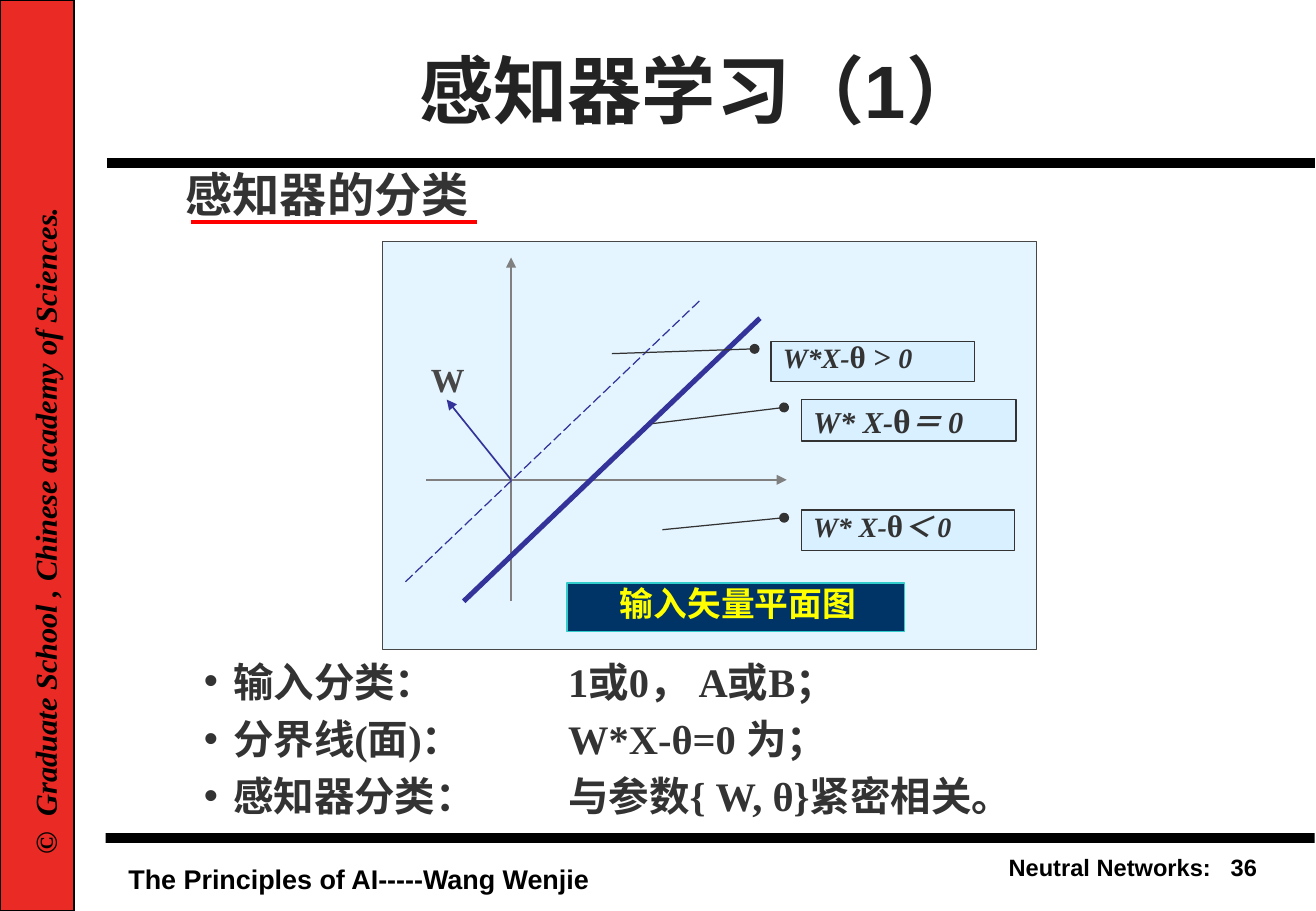
from dataclasses import dataclass, field
from typing import Any

from lxml.etree import SubElement
from pptx import Presentation
from pptx.dml.color import RGBColor
from pptx.enum.dml import MSO_LINE_DASH_STYLE as Dash
from pptx.enum.shapes import MSO_CONNECTOR as Connector, MSO_SHAPE as Shape
from pptx.enum.text import MSO_ANCHOR as Anchor, MSO_AUTO_SIZE as AutoSize, PP_ALIGN as Align
from pptx.oxml.ns import qn
from pptx.util import Inches, Pt

BLACK = RGBColor(0, 0, 0)
TITLE_GREY = RGBColor(0x23, 0x23, 0x23)
TEXT_GREY = RGBColor(0x33, 0x33, 0x33)
FRAME_GREY = RGBColor(0x47, 0x47, 0x47)
AXIS_GREY = RGBColor(0x80, 0x80, 0x80)
BAND_RED = RGBColor(0xE9, 0x2A, 0x25)
RED = RGBColor(0xFF, 0, 0)
INDIGO = RGBColor(0x33, 0x33, 0x99)
PALE_BLUE = RGBColor(0xCC, 0xEC, 0xFF)
NAVY = RGBColor(0, 0x33, 0x66)
TEAL = RGBColor(0x33, 0xCC, 0xCC)
YELLOW = RGBColor(0xFF, 0xFF, 0)
SANS, SERIF = "Arial", "Times New Roman"
WIDE_INSETS = (0.1, 0.05, 0.1, 0.05)
THIN_INSETS = (0.02, 0, 0.02, 0)
LABEL_INSETS = (0.04, 0, 0, 0)
Area = tuple[float, float, float, float]
Point = tuple[float, float]


@dataclass
class Span:
    text: str
    size: float
    color: RGBColor = TEXT_GREY
    name: str = SERIF
    italic: bool = False


@dataclass
class Block:
    lines: list[list[Span]]
    insets: Area = WIDE_INSETS
    anchor: Anchor = Anchor.TOP
    format: dict[str, Any] = field(default_factory=dict)
    tab: float = 0
    hanging: float = 0


@dataclass
class Panel:
    area: Area
    fill: RGBColor
    line: RGBColor | None = None
    width: float = 0.75
    opacity: int = 100
    kind: Shape = Shape.RECTANGLE
    block: Block | None = None
    pointer: Area | None = None


@dataclass
class Stroke:
    start: Point
    end: Point
    color: RGBColor
    width: float
    arrow: bool = False
    dash: Dash | None = None


def assign(target: Any, values: dict[str, Any]) -> None:
    for key, value in values.items():
        setattr(target, key, value)


def place(box: Any, area: Area) -> None:
    assign(box, dict(zip(("left", "top", "width", "height"), map(Inches, area))))


def write(box: Any, block: Block) -> None:
    frame = box.text_frame
    sides = ("margin_left", "margin_top", "margin_right", "margin_bottom")
    assign(frame, {"word_wrap": True, "auto_size": AutoSize.NONE, "vertical_anchor": block.anchor,
                   **dict(zip(sides, map(Inches, block.insets)))})
    for index, spans in enumerate(block.lines):
        para = frame.add_paragraph() if index else frame.paragraphs[0]
        assign(para, {"alignment": Align.LEFT, **block.format})
        properties = para._p.get_or_add_pPr()
        if block.hanging:
            properties.set("marL", str(Inches(block.hanging)))
            properties.set("indent", str(-Inches(block.hanging)))
        if block.tab:
            stops = SubElement(properties, qn("a:tabLst"))
            SubElement(stops, qn("a:tab"), pos=str(Inches(block.tab)), algn="l")
        for span in spans:
            run = para.add_run()
            run.text = span.text
            assign(run.font, {"name": span.name, "size": Pt(span.size),
                              "bold": True, "italic": span.italic})
            run.font.color.rgb = span.color


def add_text(canvas: Any, area: Area, block: Block, rotation: float = 0) -> None:
    box = canvas.add_textbox(*map(Inches, area))
    box.rotation = rotation
    write(box, block)


def add_panel(canvas: Any, panel: Panel) -> None:
    box = canvas.add_shape(panel.kind, *map(Inches, panel.area))
    box.shadow.inherit = False
    box.fill.solid()
    box.fill.fore_color.rgb = panel.fill
    if panel.opacity < 100:
        color = box._element.spPr.find(qn("a:solidFill"))[0]
        SubElement(color, qn("a:alpha"), val=str(panel.opacity * 1000))
    if panel.line is None:
        box.line.fill.background()
    else:
        box.line.color.rgb = panel.line
        box.line.width = Pt(panel.width)
    if panel.pointer:
        for index, value in enumerate(panel.pointer):
            box.adjustments[index] = value
        SubElement(box.line._get_or_add_ln(), qn("a:headEnd"), type="oval")
    if panel.block:
        write(box, panel.block)


def add_stroke(canvas: Any, stroke: Stroke) -> None:
    line = canvas.add_connector(Connector.STRAIGHT, *map(Inches, stroke.start + stroke.end))
    SubElement(line._element.spPr, qn("a:effectLst"))
    line.line.color.rgb = stroke.color
    line.line.width = Pt(stroke.width)
    if stroke.dash:
        line.line.dash_style = stroke.dash
    if stroke.arrow:
        SubElement(line.line._get_or_add_ln(), qn("a:tailEnd"), type="triangle")


def callout(area: Area, tip: Point, texts: tuple[str, str, str], size: float,
            theta_size: float, spacing: float) -> Panel:
    spans = [Span(text, theta_size if index == 1 else size, italic=index != 1)
             for index, text in enumerate(texts)]
    block = Block([spans], (0.1, 0, 0.1, 0),
                  format={"alignment": Align.JUSTIFY, "line_spacing": spacing})
    return Panel(area, PALE_BLUE, TEXT_GREY, opacity=50, kind=Shape.LINE_CALLOUT_1,
                 block=block, pointer=(0.19, -0.08, *tip))


CAPTION = Block([[Span("输入矢量平面图", 20, YELLOW)]], LABEL_INSETS,
                format={"alignment": Align.CENTER})
DIAGRAM_PANELS = [
    Panel((3.15, 1.99, 5.39, 3.36), PALE_BLUE, FRAME_GREY, opacity=50),
    Panel((4.67, 4.8, 2.78, 0.4), NAVY, TEAL, block=CAPTION),
]
DIAGRAM_STROKES = [
    Stroke((4.21, 4.95), (4.21, 2.12), AXIS_GREY, 1.5, arrow=True),
    Stroke((3.51, 3.95), (6.48, 3.95), AXIS_GREY, 1.5, arrow=True),
    Stroke((3.82, 4.95), (6.26, 2.62), INDIGO, 3),
    Stroke((3.34, 4.79), (5.78, 2.46), INDIGO, 0.75, dash=Dash.LONG_DASH),
    Stroke((4.21, 3.95), (3.68, 3.29), INDIGO, 1, arrow=True),
]
CALLOUTS = [
    callout((6.35, 2.81, 1.68, 0.33), (0.31, -0.78), ("W*X-", "θ >", " 0"), 16.6, 18.5, 0.9),
    callout((6.6, 3.29, 1.77, 0.34), (0.58, -0.69), ("W* X-", "θ", "＝ 0"), 18, 20, 1.0),
    callout((6.6, 4.2, 1.76, 0.33), (0.49, -0.65), ("W* X-", "θ", "＜ 0"), 16.6, 18.5, 0.9),
]
POINTS = [
    "输入分类：\t1或0， A或B；",
    "分界线(面)：\tW*X-θ=0 为；",
    "感知器分类：\t与参数{ W, θ}紧密相关。",
]


def main() -> None:
    deck = Presentation()
    assign(deck, {"slide_width": Inches(10.84), "slide_height": Inches(7.5)})
    page = deck.slides.add_slide(deck.slide_layouts[1])
    title, body = page.placeholders
    canvas = page.shapes

    add_text(canvas, (0.96, 7.05, 4.3, 0.36),
             Block([[Span("The Principles of AI-----Wang Wenjie", 16, BLACK, SANS)]]))
    add_text(canvas, (8.21, 6.97, 2.4, 0.33),
             Block([[Span("Neutral Networks:\t36", 14, BLACK, SANS)]], tab=1.83))
    add_panel(canvas, Panel((0.87, 6.86, 9.96, 0.08), BLACK))
    add_panel(canvas, Panel((0, 0, 0.61, 7.5), BAND_RED, BLACK, 1))
    add_stroke(canvas, Stroke((0.88, 1.34), (10.83, 1.34), BLACK, 6))
    school = Span("©\tGraduate School , Chinese academy of Sciences.", 18, BLACK, italic=True)
    add_text(canvas, (-2.58, 3.98, 5.9, 0.4), Block([[school]], tab=0.31), rotation=270)

    place(title, (1.17, 0.22, 9.19, 1.03))
    write(title, Block([[Span("感知器学习（1）", 44, TITLE_GREY, SANS)]], anchor=Anchor.MIDDLE,
                       format={"alignment": Align.CENTER}))

    diagram = canvas.add_group_shape().shapes
    for panel in DIAGRAM_PANELS:
        add_panel(diagram, panel)
    for stroke in DIAGRAM_STROKES:
        add_stroke(diagram, stroke)
    for panel in CALLOUTS:
        add_panel(diagram, panel)
    add_text(diagram, (3.51, 2.95, 0.35, 0.33),
             Block([[Span("W", 20, FRAME_GREY)]], LABEL_INSETS))

    place(body, (1.66, 5.5, 7.67, 1.25))
    write(body, Block([[Span(point, 24)] for point in POINTS], THIN_INSETS,
                      format={"line_spacing": Pt(22), "space_before": Pt(12)},
                      tab=3, hanging=0.24))
    add_text(canvas, (1.51, 1.44, 2.95, 0.39),
             Block([[Span("感知器的分类", 28)]], THIN_INSETS, format={"line_spacing": Pt(28)}))
    add_stroke(canvas, Stroke((1.57, 1.83), (3.93, 1.83), RED, 2.25))
    deck.save("out.pptx")


if __name__ == "__main__":
    main()
